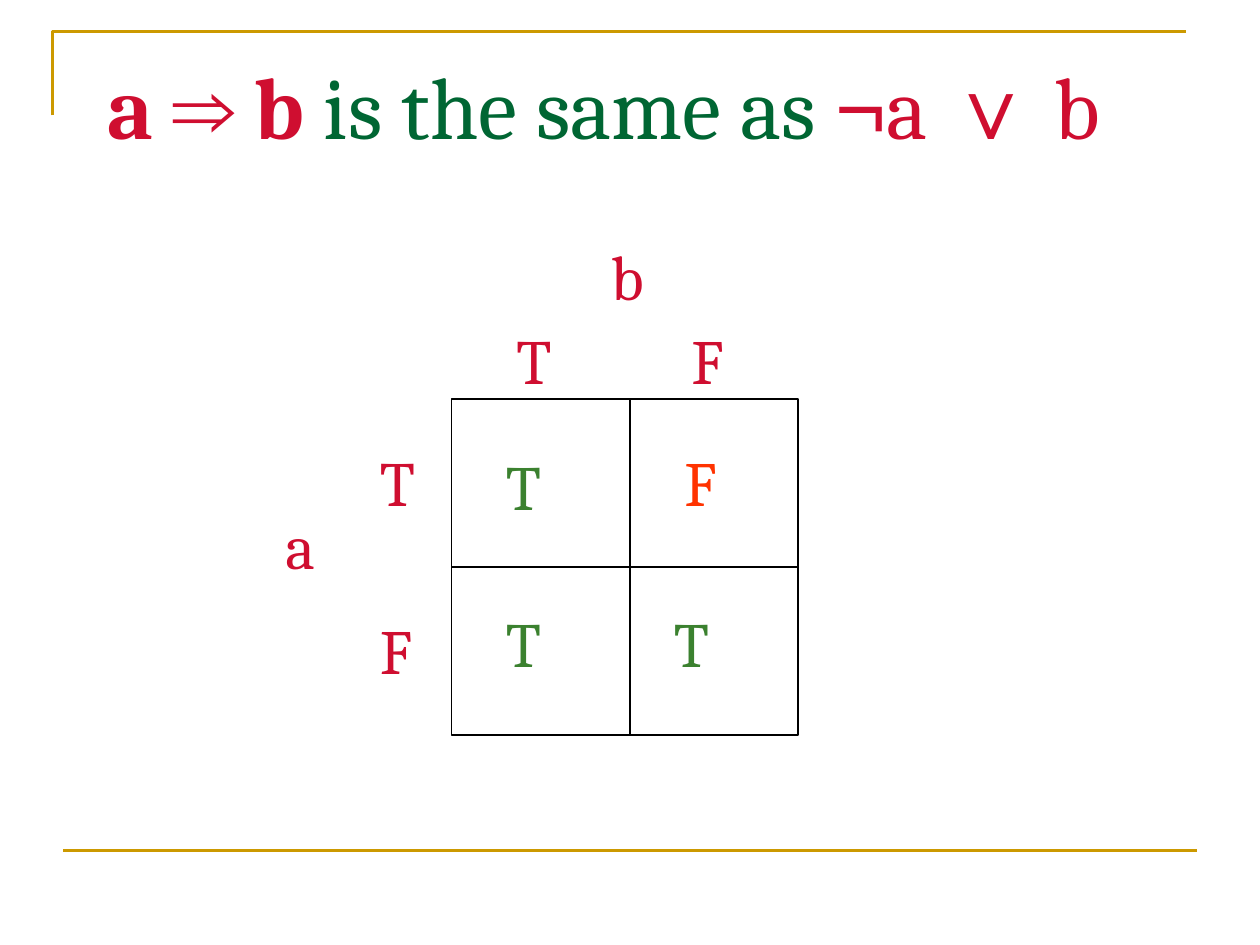
from lxml.etree import SubElement
from pptx import Presentation
from pptx.dml.color import RGBColor as RGB
from pptx.enum.shapes import MSO_CONNECTOR as Conn, MSO_SHAPE as Shape
from pptx.enum.text import MSO_ANCHOR as Anchor, MSO_AUTO_SIZE as Auto, PP_ALIGN as Align
from pptx.oxml.ns import qn
from pptx.util import Pt

HUES = {"red": "CF0E30", "green": "006633", "true": "3B812F", "false": "FF3300",
        "gold": "CC9900", "black": "000000", "white": "FFFFFF"}

# text, font, colour, bold
TITLE = [
    ("a ", "Cambria", "red", True),
    ("⇒", "Arial", "red", True),
    (" b", "Cambria", "red", True),
    (" is the same as ", "Cambria", "green", False),
    ("¬", "Arial", "red", False),
    ("a ", "Cambria", "red", False),
    ("∨", "Arial", "red", False),
    (" b", "Cambria", "red", False),
]
# text, left, top, width, colour
LABELS = [
    ("a", 156, 286, 54, "red"),
    ("T", 210, 250, 30, "red"),
    ("F", 210, 346, 42, "red"),
    ("T\tF", 288, 180, 174, "red"),
    ("b", 342, 132, 48, "red"),
]
VALUES = [
    ("T", 282, 252, 78, "true"),
    ("T", 282, 342, 78, "true"),
    ("T", 378, 342, 78, "true"),
    ("F", 384, 250, 72, "false"),
]
LEFT, TOP, WIDE, HIGH = 258, 228, 198, 192
SPLIT = 360
HEAD_TAB = 100

deck = Presentation()
deck.slide_width, deck.slide_height = Pt(720), Pt(540)
slide = deck.slides.add_slide(deck.slide_layouts[5])
shapes = slide.shapes


def write(para, text, font="Cambria", size=36, hue="red", bold=False):
    run = para.add_run()
    run.text = text
    run.font.name, run.font.size, run.font.bold = font, Pt(size), bold
    run.font.color.rgb = RGB.from_string(HUES[hue])


def label(text, left, top, width, hue):
    box = shapes.add_textbox(Pt(left), Pt(top), Pt(width), Pt(50))
    frame = box.text_frame
    frame.word_wrap = True
    frame.auto_size = Auto.SHAPE_TO_FIT_TEXT
    para = frame.paragraphs[0]
    write(para, text, hue=hue)
    if "\t" in text:
        tabs = SubElement(para._p.get_or_add_pPr(), qn("a:tabLst"))
        SubElement(tabs, qn("a:tab"), pos=str(Pt(HEAD_TAB)), algn="l")


def stroke(item, hue, width):
    item.line.color.rgb = RGB.from_string(HUES[hue])
    item.line.width = Pt(width)


def rule(x1, y1, x2, y2, hue="black", width=1):
    line = shapes.add_connector(Conn.STRAIGHT, Pt(x1), Pt(y1), Pt(x2), Pt(y2))
    stroke(line, hue, width)
    SubElement(line._element.spPr, qn("a:effectLst"))
    return line


# Frame lines around the page
pen = shapes.build_freeform(Pt(30), Pt(66), scale=1.0)
pen.add_line_segments([(Pt(30), Pt(18)), (Pt(678), Pt(18))], close=False)
corner = pen.convert_to_shape()
corner.fill.background()
corner.shadow.inherit = False
stroke(corner, "gold", 1.5)
rule(36, 486, 684, 486, "gold", 1.5)

# Title
title = shapes.title
title.left, title.top, title.width, title.height = Pt(54), Pt(36), Pt(630), Pt(48)
frame = title.text_frame
frame.auto_size, frame.vertical_anchor = Auto.NONE, Anchor.MIDDLE
frame.word_wrap = True
frame.paragraphs[0].alignment = Align.LEFT
for text, font, hue, bold in TITLE:
    write(frame.paragraphs[0], text, font, 50, hue, bold)

# Truth table
for item in LABELS:
    label(*item)
square = shapes.add_shape(Shape.RECTANGLE, Pt(LEFT), Pt(TOP), Pt(WIDE), Pt(HIGH))
square.shadow.inherit = False
square.fill.solid()
square.fill.fore_color.rgb = RGB.from_string(HUES["white"])
stroke(square, "black", 1)
middle = TOP + HIGH / 2
across = rule(LEFT, middle, LEFT + WIDE, middle)
across.begin_connect(square, 1)
across.end_connect(square, 3)
rule(SPLIT, TOP, SPLIT, TOP + HIGH)
for item in VALUES:
    label(*item)

deck.save("out.pptx")
